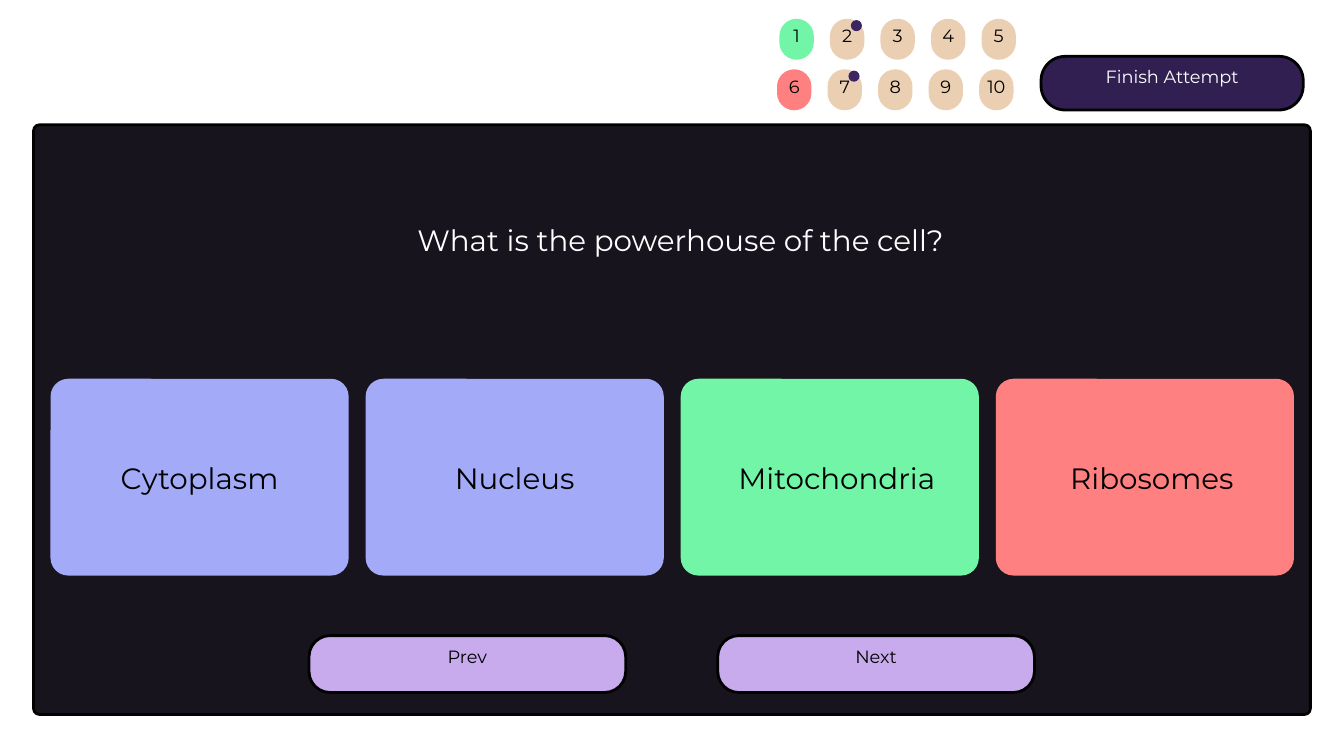
from pptx import Presentation
from pptx import util as u
from pptx.dml.color import RGBColor
from pptx.enum import shapes, text

COLORS = {
    "panel": "17141D",
    "black": "000000",
    "white": "FFFFFF",
    "answer": "A3ABF9",
    "correct": "72F5A6",
    "wrong": "FF8080",
    "unanswered": "EBCFB2",
    "flag": "3B2562",
    "navigation": "C8ABED",
    "finish": "311F51",
}


def write_label(shape, label, size, spacing, color="black", left_inset=0, bottom_inset=0):
    frame = shape.text_frame
    frame.text = label
    frame.word_wrap = True
    frame.auto_size = text.MSO_AUTO_SIZE.NONE
    frame.vertical_anchor = text.MSO_ANCHOR.MIDDLE
    frame.margin_left, frame.margin_bottom = u.Cm(left_inset), u.Cm(bottom_inset)
    frame.margin_right = frame.margin_top = 0
    paragraph = frame.paragraphs[0]
    paragraph.alignment = text.PP_ALIGN.CENTER
    paragraph.line_spacing = u.Pt(spacing)
    font = paragraph.runs[0].font
    font.name = "Montserrat"
    font.size = u.Pt(size)
    font.color.rgb = RGBColor.from_string(COLORS[color])


def add_box(left, top, width, height, fill, radius=None, outlined=False):
    kind = shapes.MSO_SHAPE.OVAL if radius is None else shapes.MSO_SHAPE.ROUNDED_RECTANGLE
    shape = slide.shapes.add_shape(kind, u.Cm(left), u.Cm(top), u.Cm(width), u.Cm(height))
    shape.shadow.inherit = False
    if radius is not None:
        shape.adjustments[0] = radius
    shape.fill.solid()
    shape.fill.fore_color.rgb = RGBColor.from_string(COLORS[fill])
    if outlined:
        shape.line.color.rgb = RGBColor.from_string(COLORS["black"])
        shape.line.width = u.Pt(3)
    else:
        shape.line.fill.background()
    return shape


presentation = Presentation()
presentation.slide_width = u.Cm(50.8)
presentation.slide_height = u.Cm(28.58)
slide = presentation.slides.add_slide(presentation.slide_layouts[5])

panel = add_box(1.27, 4.72, 48.26, 22.29, "panel", 0.01, outlined=True)

question = slide.shapes.title
question.left, question.top = u.Cm(3.18), u.Cm(8.2)
question.width, question.height = u.Cm(45.08), u.Cm(1.5)
write_label(question, "What is the powerhouse of the cell?", 31.5, 44.1, "white")
question.element.addprevious(panel.element)

answers = [
    ("Cytoplasm", "answer", 0),
    ("Nucleus", "answer", 0),
    ("Mitochondria", "correct", 0.53),
    ("Ribosomes", "wrong", 0.53),
]
for column, (answer, fill, left_inset) in enumerate(answers):
    card = add_box(1.91 + 11.91 * column, 14.32, 11.27, 7.44, fill, 0.09)
    write_label(card, answer, 31.5, 44.1, left_inset=left_inset, bottom_inset=0.2)

for left, label in [(11.68, "Prev"), (27.13, "Next")]:
    button = add_box(left, 24.03, 11.97, 2.15, "navigation", 0.37, outlined=True)
    write_label(button, label, 19, 26.6, bottom_inset=0.74)

question_fills = {1: "correct", 6: "wrong"}
flagged_questions = {2, 7}
for number in range(1, 11):
    row, column = divmod(number - 1, 5)
    left = 29.46 - 0.09 * row + 1.91 * column
    top = 0.71 + 1.91 * row
    pill = add_box(left, top, 1.3, 1.55, question_fills.get(number, "unanswered"), 0.5)
    write_label(pill, str(number), 19, 26.6, bottom_inset=0.4)
    pill.text_frame.word_wrap = False
    if number in flagged_questions:
        add_box(left + 0.79, top + 0.05, 0.42, 0.42, "flag")

finish_button = add_box(39.35, 2.13, 9.91, 2.03, "finish", 0.45, outlined=True)
write_label(finish_button, "Finish Attempt", 19, 26.6, "white", bottom_inset=0.66)

presentation.save("out.pptx")
